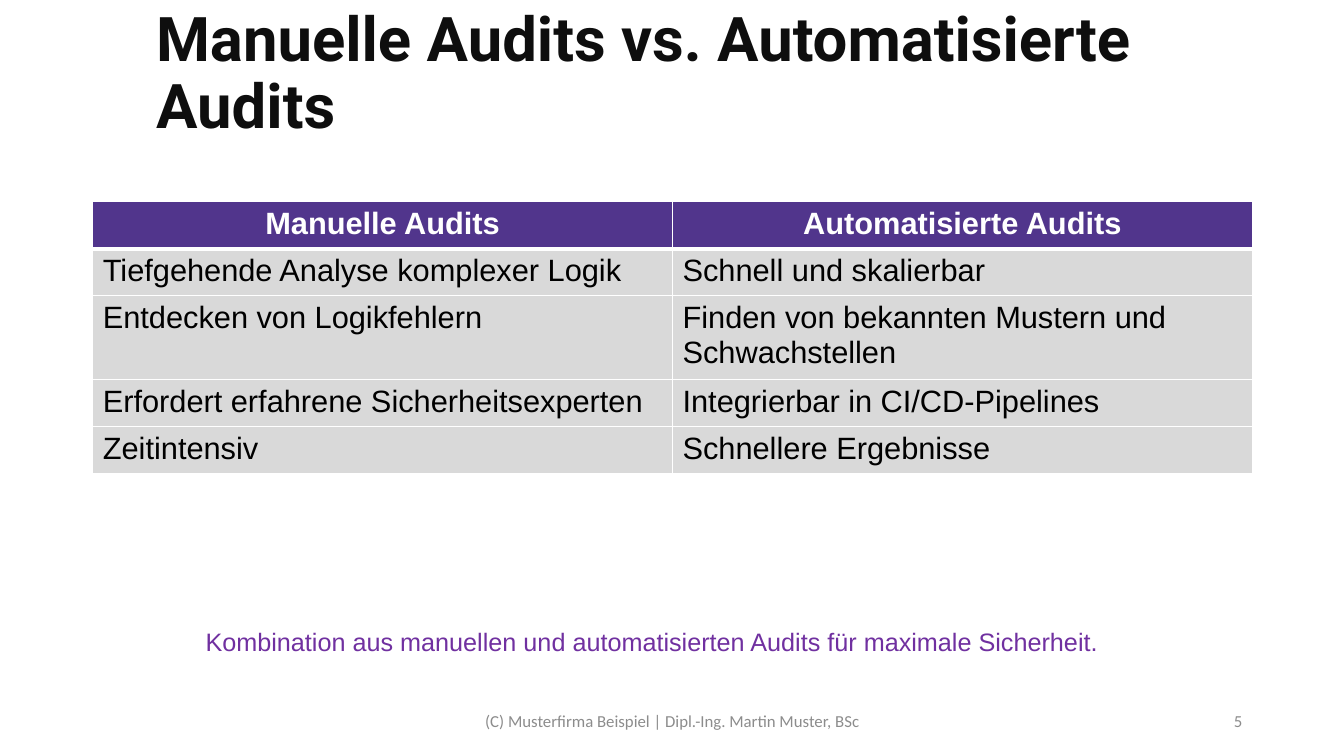
from lxml import etree
from pptx import Presentation
from pptx.dml.color import RGBColor
from pptx.enum.text import MSO_ANCHOR, PP_ALIGN
from pptx.oxml.ns import qn
from pptx.util import Inches, Pt

LEFT, CENTER, RIGHT = PP_ALIGN.LEFT, PP_ALIGN.CENTER, PP_ALIGN.RIGHT
TOP, MIDDLE = MSO_ANCHOR.TOP, MSO_ANCHOR.MIDDLE

TITLE = "Manuelle Audits vs. Automatisierte Audits"
ROWS = [
    ("Manuelle Audits", "Automatisierte Audits"),
    ("Tiefgehende Analyse komplexer Logik", "Schnell und skalierbar"),
    ("Entdecken von Logikfehlern", "Finden von bekannten Mustern und Schwachstellen"),
    ("Erfordert erfahrene Sicherheitsexperten", "Integrierbar in CI/CD-Pipelines"),
    ("Zeitintensiv", "Schnellere Ergebnisse"),
]
SUMMARY = "Kombination aus manuellen und automatisierten Audits für maximale Sicherheit."
FOOTER = "(C) Musterfirma Beispiel | Dipl.-Ing. Martin Muster, BSc"
PAGE = "5"

PURPLE, GREY, WHITE, BLACK = "51358C", "D9D9D9", "FFFFFF", "000000"
VIOLET, INK, MUTED = "7030A0", "0E0E0E", "8C8C8C"
COL_W, ROW_H = 5.75, 0.41


def rgb(value):
    return RGBColor.from_string(value)


def style(p, size, font, color, bold=False, align=LEFT):
    p.alignment = align
    f = p.font
    f.size, f.name, f.bold = Pt(size), font, bold
    f.color.rgb = rgb(color)


def add_text(s, box, text, size, font, color, bold=False, align=LEFT, anchor=MIDDLE, wrap=True):
    tf = s.shapes.add_textbox(*map(Inches, box)).text_frame
    tf.word_wrap, tf.vertical_anchor = wrap, anchor
    p = tf.paragraphs[0]
    p.text = text
    style(p, size, font, color, bold, align)
    return p


def add_borders(cell, widths):
    tcPr = cell._tc.get_or_add_tcPr()
    for side, width in zip("LRTB", widths):
        ln = etree.SubElement(tcPr, qn("a:ln" + side), w=str(Pt(width)))
        fill = etree.SubElement(ln, qn("a:solidFill"))
        etree.SubElement(fill, qn("a:srgbClr"), val=WHITE)


def add_audit_table(s):
    size = (COL_W * len(ROWS[0]), ROW_H * len(ROWS))
    table = s.shapes.add_table(len(ROWS), len(ROWS[0]), *map(Inches, (0.92, 2, *size))).table
    for i, row in enumerate(ROWS):
        header = i == 0
        for j, text in enumerate(row):
            cell = table.cell(i, j)
            cell.text = text
            add_borders(cell, (1, 1, 3 if i == 1 else 1, 3 if header else 1))
            cell.fill.solid()
            cell.fill.fore_color.rgb = rgb(PURPLE if header else GREY)
            style(cell.text_frame.paragraphs[0], 22, "Arial",
                  WHITE if header else BLACK, header, CENTER if header else LEFT)


def main():
    prs = Presentation()
    prs.slide_width, prs.slide_height = Inches(13.33), Inches(7.5)
    s = prs.slides.add_slide(prs.slide_layouts[6])
    title = add_text(s, (1.45, 0.02, 11.5, 1.45), TITLE, 44, "Roboto", INK, bold=True)
    title.line_spacing = 0.9
    add_text(s, (4.42, 6.95, 4.5, 0.4), FOOTER, 12, "Calibri", MUTED, align=CENTER)
    add_text(s, (9.42, 6.95, 3, 0.4), PAGE, 12, "Calibri", MUTED, align=RIGHT)
    add_audit_table(s)
    add_text(s, (1.94, 6.16, 9.21, 0.4), SUMMARY, 18, "Arial", VIOLET, anchor=TOP, wrap=False)
    prs.save("out.pptx")


if __name__ == "__main__":
    main()
